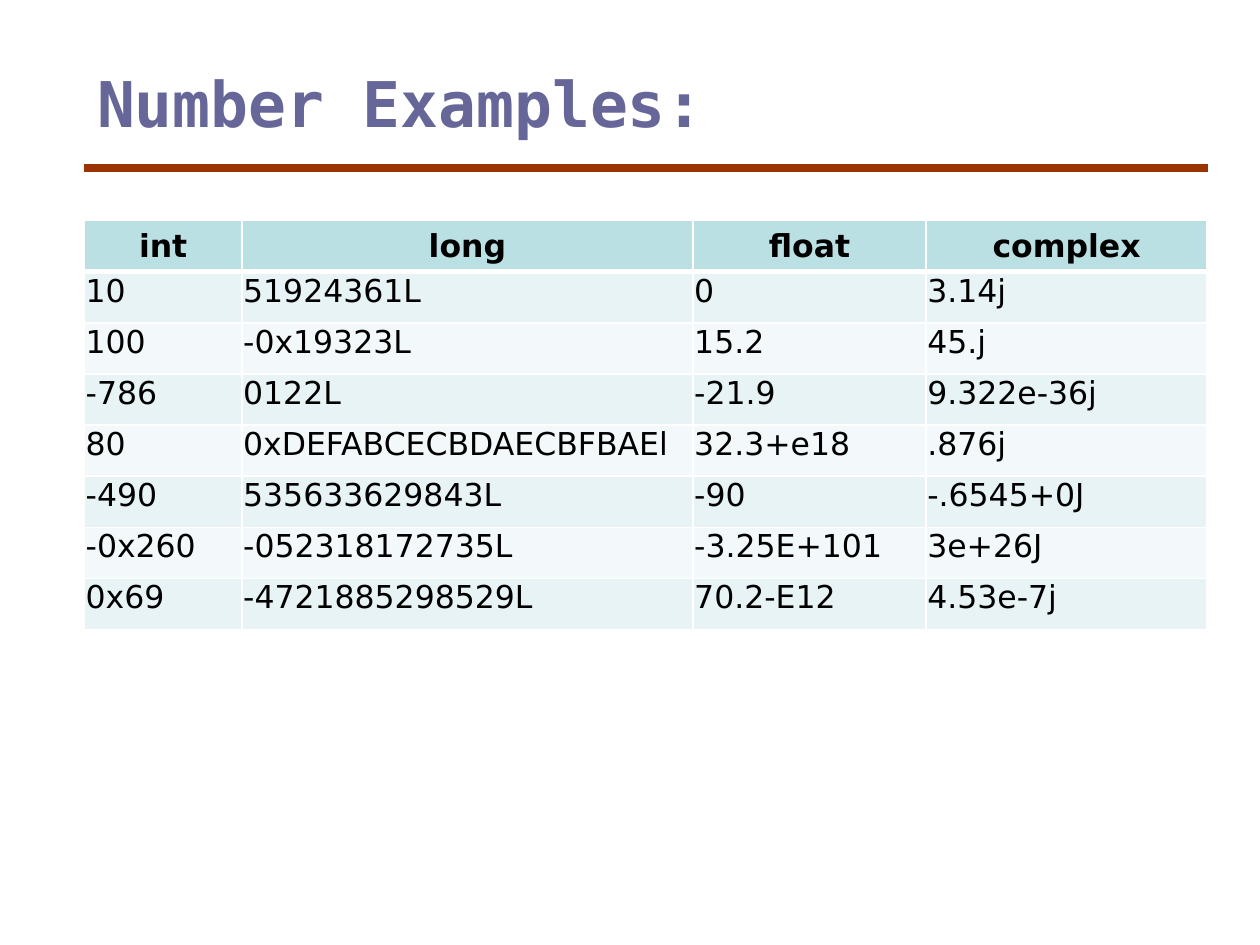
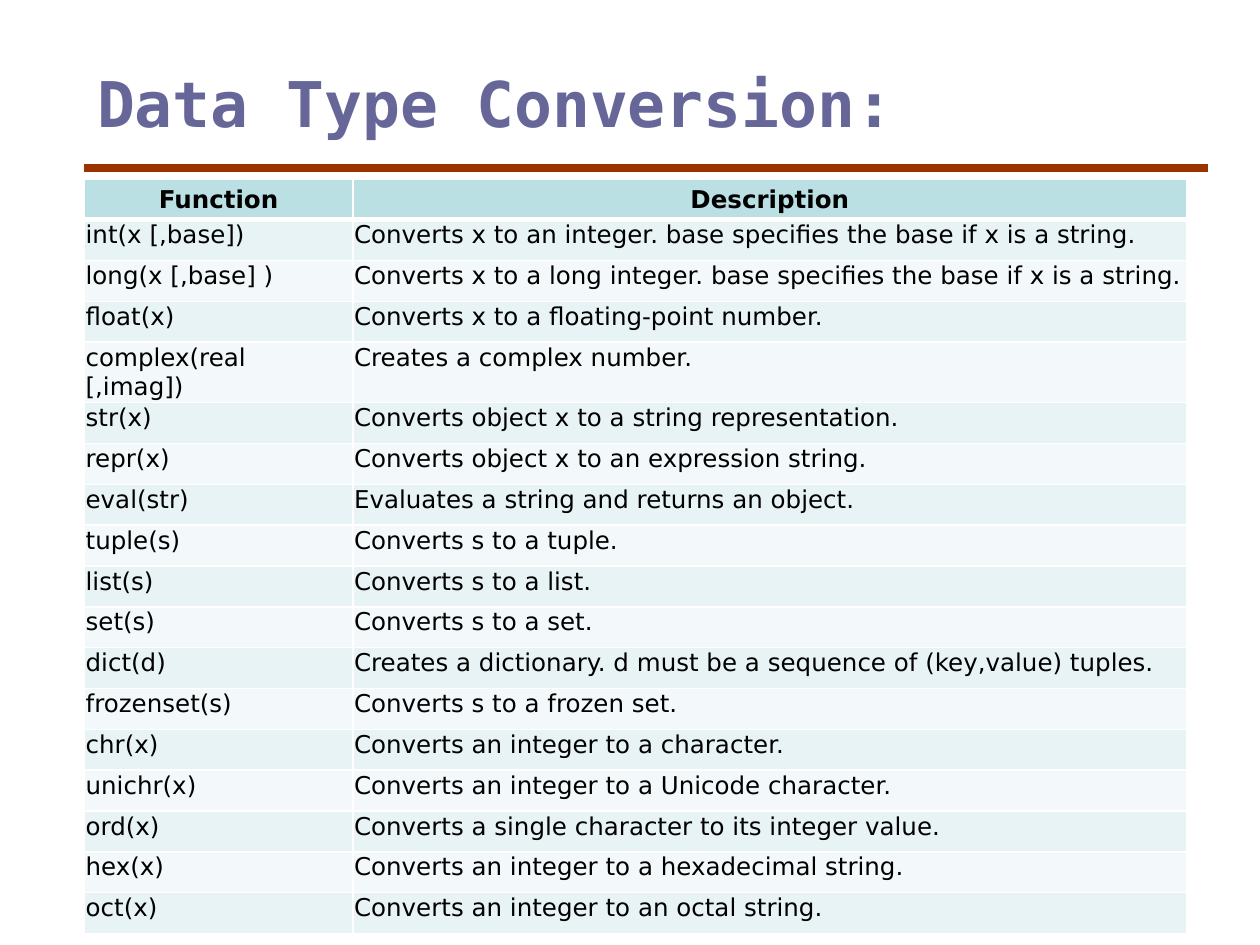
import pptx
import pptx.util
import pptx.dml.color
import pptx.enum.shapes
import pptx.enum.text
import pptx.oxml
import pptx.oxml.ns

Inches = pptx.util.Inches
Pt = pptx.util.Pt
RGBColor = pptx.dml.color.RGBColor
Align = pptx.enum.text.PP_ALIGN
Anchor = pptx.enum.text.MSO_ANCHOR

# Shared style
PURPLE = RGBColor(0x66, 0x66, 0x99)
RUST = RGBColor(0x99, 0x33, 0x00)
BLACK = RGBColor(0x00, 0x00, 0x00)
WHITE = RGBColor(0xFF, 0xFF, 0xFF)
HEAD = RGBColor(0xBB, 0xE0, 0xE3)
BANDS = (RGBColor(0xF3, 0xF9, 0xFA), RGBColor(0xE7, 0xF3, 0xF4))
SANS = "DejaVu Sans"
MONO = "DejaVu Sans Mono"
LEFT = Inches(0.67)
WIDTH = 8.92

NUMBERS = [
    ("int", "long", "float", "complex"),
    ("10", "51924361L", "0", "3.14j"),
    ("100", "-0x19323L", "15.2", "45.j"),
    ("-786", "0122L", "-21.9", "9.322e-36j"),
    ("80", "0xDEFABCECBDAECBFBAEl", "32.3+e18", ".876j"),
    ("-490", "535633629843L", "-90", "-.6545+0J"),
    ("-0x260", "-052318172735L", "-3.25E+101", "3e+26J"),
    ("0x69", "-4721885298529L", "70.2-E12", "4.53e-7j"),
]

CASTS = [
    ("Function", "Description"),
    ("int(x [,base])", "Converts x to an integer. base specifies the base if x is a string."),
    ("long(x [,base] )", "Converts x to a long integer. base specifies the base if x is a string."),
    ("float(x)", "Converts x to a floating-point number."),
    ("complex(real [,imag])", "Creates a complex number."),
    ("str(x)", "Converts object x to a string representation."),
    ("repr(x)", "Converts object x to an expression string."),
    ("eval(str)", "Evaluates a string and returns an object."),
    ("tuple(s)", "Converts s to a tuple."),
    ("list(s)", "Converts s to a list."),
    ("set(s)", "Converts s to a set."),
    ("dict(d)", "Creates a dictionary. d must be a sequence of (key,value) tuples."),
    ("frozenset(s)", "Converts s to a frozen set."),
    ("chr(x)", "Converts an integer to a character."),
    ("unichr(x)", "Converts an integer to a Unicode character."),
    ("ord(x)", "Converts a single character to its integer value."),
    ("hex(x)", "Converts an integer to a hexadecimal string."),
    ("oct(x)", "Converts an integer to an octal string."),
]


class Deck:
    def __init__(self):
        self.prs = pptx.Presentation()
        self.prs.slide_width = Inches(10)
        self.prs.slide_height = Inches(7.5)
        self.slide = None

    def page(self, title, height):
        """Start a slide with its title and rule."""
        self.slide = self.prs.slides.add_slide(self.prs.slide_layouts[5])
        self.rule()
        self.title(title, height)

    def font(self, para, name, size, color, bold):
        for run in para.runs:
            run.font.name = name
            run.font.size = Pt(size)
            run.font.color.rgb = color
            run.font.bold = bold

    def title(self, text, height):
        shape = self.slide.shapes.title
        shape.left, shape.top = LEFT, Inches(0.42)
        shape.width, shape.height = Inches(WIDTH), Inches(height)
        frame = shape.text_frame
        frame.text = text
        frame.auto_size = pptx.enum.text.MSO_AUTO_SIZE.NONE
        frame.vertical_anchor = Anchor.TOP
        frame.margin_top = Inches(0.09)
        para = frame.paragraphs[0]
        para.alignment = Align.LEFT
        self.font(para, MONO, 36, PURPLE, True)

    def rule(self):
        y = Inches(1.33)
        line = self.slide.shapes.add_connector(
            pptx.enum.shapes.MSO_CONNECTOR.STRAIGHT, LEFT, y, LEFT + Inches(WIDTH), y)
        line.line.color.rgb = RUST
        line.line.width = Pt(4.5)
        props = line._element.spPr
        props.append(pptx.oxml.parse_xml(
            "<a:effectLst %s/>" % pptx.oxml.ns.nsdecls("a")))

    def border(self, cell, side, width):
        cell._tc.get_or_add_tcPr().append(pptx.oxml.parse_xml(
            '<a:ln%s %s w="%d"><a:solidFill><a:srgbClr val="%s"/></a:solidFill></a:ln%s>'
            % (side, pptx.oxml.ns.nsdecls("a"), Pt(width), WHITE, side)))

    def cell(self, cell, text, row, size, align):
        head = row == 0
        cell.text = text
        cell.margin_left = cell.margin_right = cell.margin_top = Inches(0.01)
        cell.margin_bottom = 0
        cell.vertical_anchor = Anchor.MIDDLE if head else Anchor.TOP
        para = cell.text_frame.paragraphs[0]
        para.alignment = Align.CENTER if head else align
        self.font(para, SANS, size, BLACK, head)
        # Borders come before the fill; the header has a thick lower edge
        thick = {"T": 3 if row == 1 else 1, "B": 3 if head else 1}
        for side in "LRTB":
            self.border(cell, side, thick.get(side, 1))
        cell.fill.solid()
        cell.fill.fore_color.rgb = HEAD if head else BANDS[row % 2]

    def table(self, data, top, cols, high, size, align, tall=None):
        """Add a table; tall maps a row number to its own height."""
        tall = tall or {}
        highs = [tall.get(i, high) for i in range(len(data))]
        grid = self.slide.shapes.add_table(
            len(data), len(cols), LEFT, Inches(top),
            Inches(sum(cols)), Inches(sum(highs))).table
        for col, width in zip(grid.columns, cols):
            col.width = Inches(width)
        for i, texts in enumerate(data):
            grid.rows[i].height = Inches(highs[i])
            for j, text in enumerate(texts):
                self.cell(grid.cell(i, j), text, i, size, align)


def main():
    deck = Deck()

    # Number literals by type
    deck.page("Number Examples:", 1.25)
    deck.table(NUMBERS, 1.75, (1.25, 3.58, 1.85, 2.23), 3.25 / 8, 18, Align.LEFT)

    # Conversion functions
    deck.page("Data Type Conversion:", 0.75)
    deck.table(CASTS, 1.42, (2.13, 6.62), 5.51 / 17, 14, Align.JUSTIFY, {4: 0.48})

    deck.prs.save("out.pptx")


if __name__ == "__main__":
    main()
